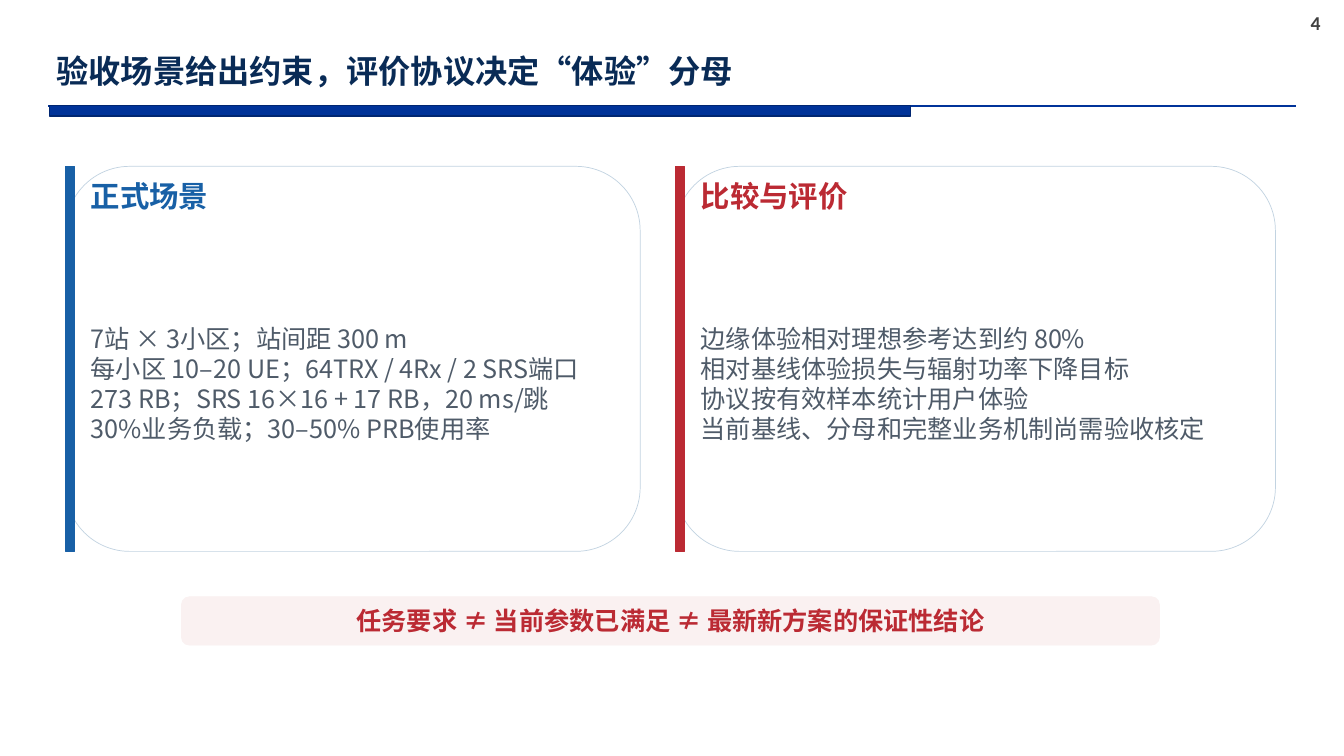
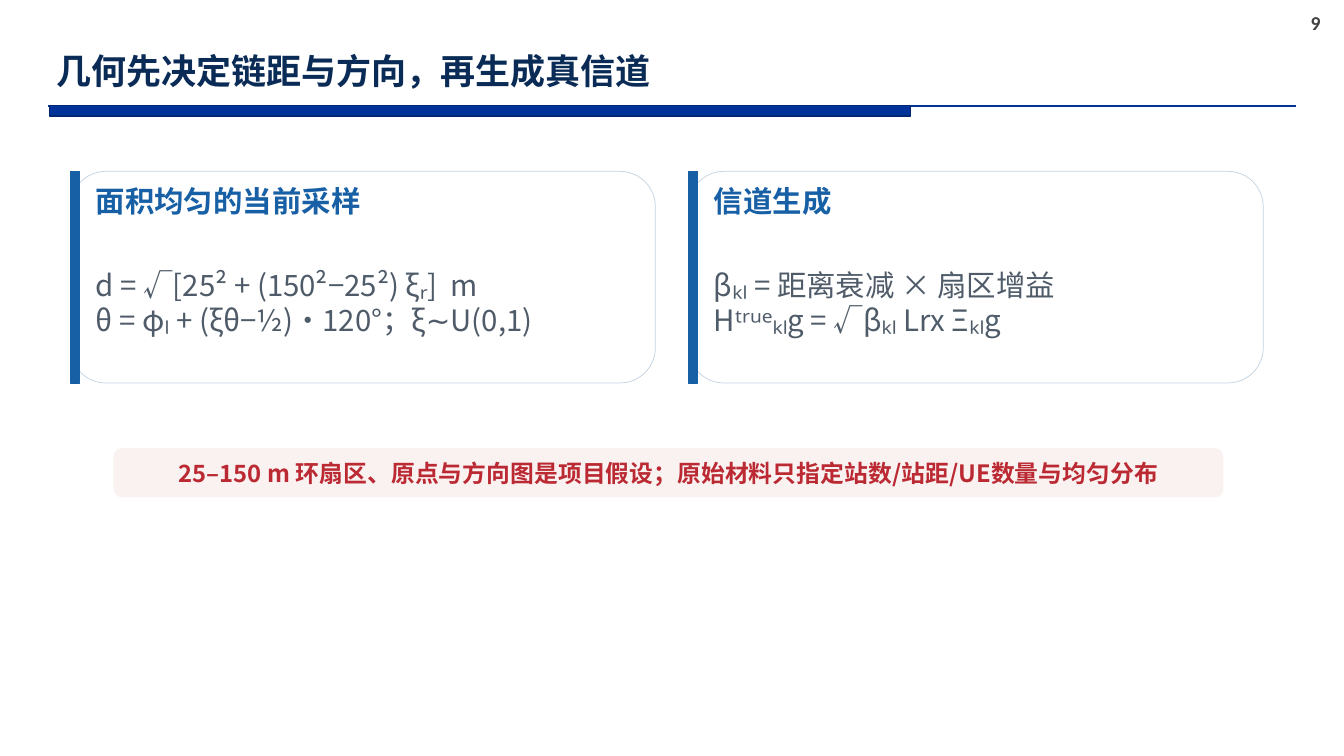
from dataclasses import dataclass

from lxml import etree
from pptx import Presentation
from pptx import util as u
from pptx.dml import color as dml
from pptx.enum import shapes, text
from pptx.oxml import ns

UNIT = 0.1
COLS, ROWS = 133.3, 75
FONT = "Noto Sans CJK SC"
NAVY, ROYAL, EDGE = "092B56", "003399", "002671"
BLUE, RED, PINK = "1860A6", "BB2A33", "FAF1F1"
GREY, DARK, PALE, WHITE = "4F5B69", "404040", "C2D3E1", "FFFFFF"
BAR = 0.9
PAD = 0.5


@dataclass
class Area:
    col: float
    row: float
    cols: float
    rows: float


@dataclass
class Style:
    size: float
    tint: str
    bold: bool = True
    font: str = FONT
    align: text.PP_ALIGN = text.PP_ALIGN.LEFT
    lead: float = 1.0


@dataclass
class Card:
    area: Area
    tint: str
    head: str
    lines: list[str]
    size: float


@dataclass
class Note:
    area: Area
    words: str
    size: float


@dataclass
class Page:
    number: str
    title: str
    size: float
    cards: list[Card]
    note: Note


def span(count: float) -> int:
    return u.Inches(count * UNIT)


def paint(target, tint: str) -> None:
    target.rgb = dml.RGBColor.from_string(tint)


def fit(area: Area) -> tuple[int, int, int, int]:
    return span(area.col), span(area.row), span(area.cols), span(area.rows)


def place(shape, area: Area) -> None:
    shape.left, shape.top, shape.width, shape.height = fit(area)


def block(slide, kind, area: Area, fill: str, edge: str, width: float = 0.5):
    shape = slide.shapes.add_shape(kind, *fit(area))
    shape.shadow.inherit = False
    shape.fill.solid()
    paint(shape.fill.fore_color, fill)
    paint(shape.line.color, edge)
    shape.line.width = u.Pt(width)
    return shape


def write(shape, words: str, style: Style, pad: float | None = PAD,
          wrap: bool = True, grow: bool = True) -> None:
    frame = shape.text_frame
    frame.text = words
    frame.word_wrap = wrap
    frame.vertical_anchor = text.MSO_ANCHOR.MIDDLE
    sizing = text.MSO_AUTO_SIZE
    frame.auto_size = sizing.SHAPE_TO_FIT_TEXT if grow else sizing.NONE
    if pad is not None:
        frame.margin_left = frame.margin_right = span(pad)
        frame.margin_top = frame.margin_bottom = span(pad)
    for para in frame.paragraphs:
        para.alignment = style.align
        para.line_spacing = style.lead
        para.space_before = u.Pt(0)
        props = para._p.get_or_add_pPr()
        props.set("marL", "0")
        props.set("indent", "0")
        etree.SubElement(props, ns.qn("a:buNone"))
        for run in para.runs:
            run.font.name = style.font
            run.font.size = u.Pt(style.size)
            run.font.bold = style.bold
            paint(run.font.color, style.tint)
            east = etree.SubElement(run._r.get_or_add_rPr(), ns.qn("a:ea"))
            east.set("typeface", style.font)


def draw_frame(slide, page: Page) -> None:
    rule = slide.shapes.add_connector(
        shapes.MSO_CONNECTOR.STRAIGHT,
        span(4.8), span(10.5), span(128.5), span(10.5))
    paint(rule.line.color, ROYAL)
    rule.line.width = u.Pt(1.5)
    etree.SubElement(rule._element.spPr, ns.qn("a:effectLst"))
    block(slide, shapes.MSO_SHAPE.RECTANGLE,
          Area(4.9, 10.5, 85.4, 1), ROYAL, EDGE, 1)
    label = slide.shapes.add_textbox(*fit(Area(129, 0.6, 4, 3.4)))
    write(label, page.number, Style(14, DARK, font="Calibri"), None, False)
    title = slide.shapes.title
    place(title, Area(4.6, 4, 94.5, 6.5))
    write(title, page.title, Style(page.size, NAVY, lead=0.9), None, False)


def draw_card(slide, card: Card, head, body) -> None:
    area = card.area
    block(slide, shapes.MSO_SHAPE.ROUNDED_RECTANGLE, area, WHITE, PALE)
    block(slide, shapes.MSO_SHAPE.RECTANGLE,
          Area(area.col, area.row, BAR, area.rows), card.tint, card.tint)
    left, width = area.col + 2, area.cols - 3.5
    place(head, Area(left, area.row + 1.1, width, 3.7))
    place(body, Area(left, area.row + 5.9, width, area.rows - 6.9))
    write(head, card.head, Style(21, card.tint))
    write(body, "\n".join(card.lines), Style(card.size, GREY, False))
    for shape in (head, body):
        slide.shapes.element.append(shape.element)


def draw_note(slide, note: Note) -> None:
    shape = block(slide, shapes.MSO_SHAPE.ROUNDED_RECTANGLE,
                  note.area, PINK, PINK)
    style = Style(note.size, RED, align=text.PP_ALIGN.CENTER)
    write(shape, note.words, style, grow=False)


def draw_page(deck, page: Page) -> None:
    slide = deck.slides.add_slide(
        deck.slide_layouts.get_by_name("Comparison"))
    draw_frame(slide, page)
    slots = [s for s in slide.placeholders if s.placeholder_format.idx > 0]
    for card, head, body in zip(page.cards, slots[::2], slots[1::2]):
        draw_card(slide, card, head, body)
    draw_note(slide, page.note)


PAGES = [
    Page("4", "验收场景给出约束，评价协议决定“体验”分母", 23, [
        Card(Area(6.5, 16.5, 57, 38.2), BLUE, "正式场景", [
            "7站 × 3小区；站间距 300 m",
            "每小区 10–20 UE；64TRX / 4Rx / 2 SRS端口",
            "273 RB；SRS 16×16 + 17 RB，20 ms/跳",
            "30%业务负载；30–50% PRB使用率",
        ], 18),
        Card(Area(67, 16.5, 59.5, 38.2), RED, "比较与评价", [
            "边缘体验相对理想参考达到约 80%",
            "相对基线体验损失与辐射功率下降目标",
            "协议按有效样本统计用户体验",
            "当前基线、分母和完整业务机制尚需验收核定",
        ], 18),
    ], Note(Area(18, 59.2, 97, 4.8),
            "任务要求 ≠ 当前参数已满足 ≠ 最新新方案的保证性结论", 18)),
    Page("9", "几何先决定链距与方向，再生成真信道", 25, [
        Card(Area(7, 17, 58, 21), BLUE, "面积均匀的当前采样", [
            "d = √[25² + (150²−25²) ξᵣ]  m",
            "θ = φₗ + (ξθ−½)·120°；ξ∼U(0,1)",
        ], 21),
        Card(Area(68.3, 17, 57, 21), BLUE, "信道生成", [
            "βₖₗ = 距离衰减 × 扇区增益",
            "Hᵗʳᵘᵉₖₗg = √βₖₗ Lrx Ξₖₗg",
        ], 21),
    ], Note(Area(11.3, 44.5, 110, 4.8),
            "25–150 m 环扇区、原点与方向图是项目假设；"
            "原始材料只指定站数/站距/UE数量与均匀分布", 17)),
]


def main() -> None:
    deck = Presentation()
    deck.slide_width, deck.slide_height = span(COLS), span(ROWS)
    for page in PAGES:
        draw_page(deck, page)
    deck.save("out.pptx")


if __name__ == "__main__":
    main()
